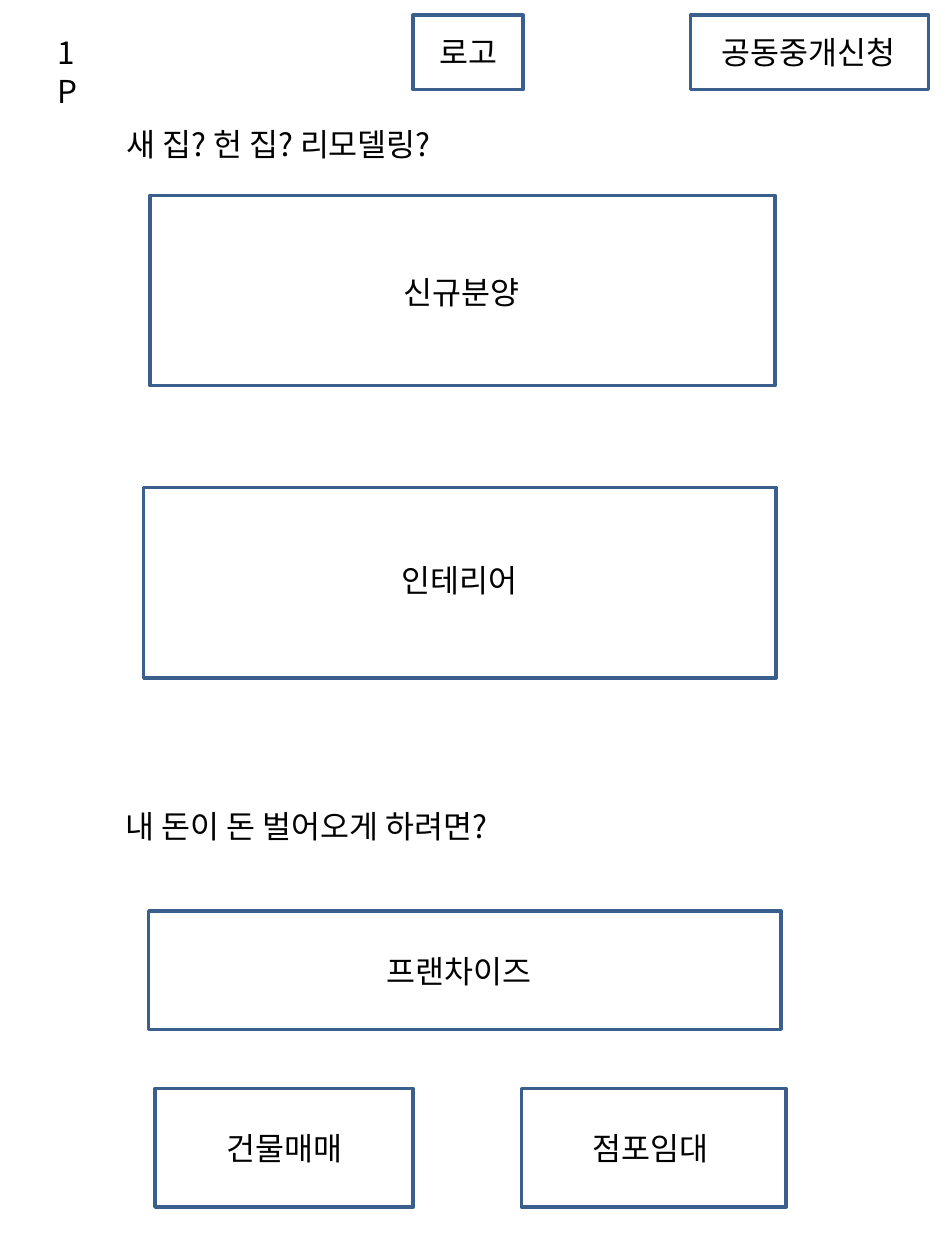
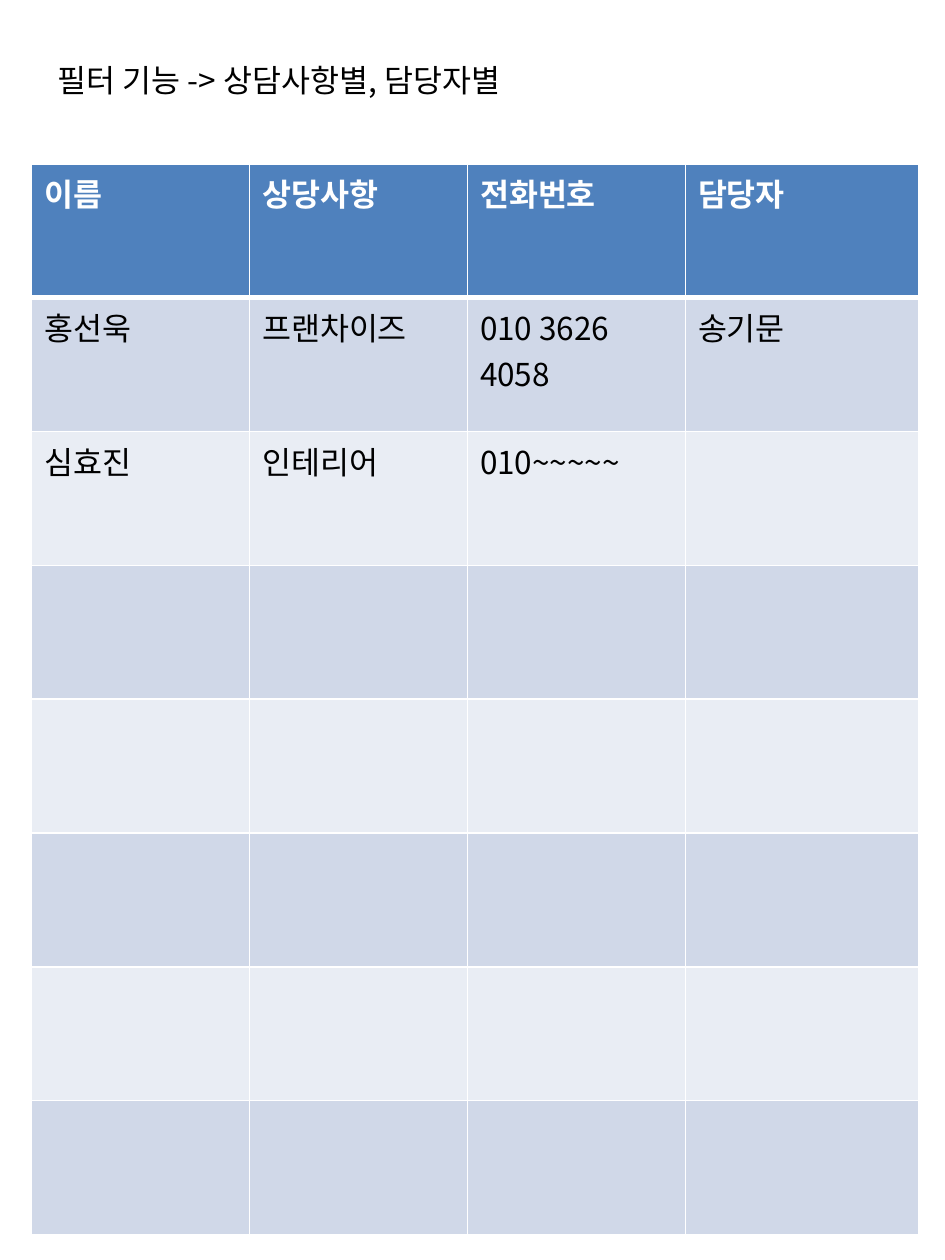
from itertools import product
from lxml.etree import SubElement
from pptx import Presentation
from pptx.dml.color import RGBColor
from pptx.enum.shapes import MSO_SHAPE
from pptx.enum.text import MSO_ANCHOR, MSO_AUTO_SIZE, PP_ALIGN
from pptx.oxml.ns import qn
from pptx.util import Inches, Pt

FONT = "Noto Sans CJK KR"
COLORS = {"ink": "000000", "line": "3A5F8C", "head": "4F81BD",
          "odd": "D0D8E8", "even": "E9EDF4", "white": "FFFFFF"}
LINE = 0.4


def color(name):
    return RGBColor.from_string(COLORS[name])


def style(para, ink="ink", bold=False):
    for run in para.runs:
        font = run.font
        font.name, font.size, font.bold = FONT, Pt(18), bold
        font.color.rgb = color(ink)
        SubElement(font._element, qn("a:ea"), typeface=FONT)


def write(shape, text, align=PP_ALIGN.LEFT):
    frame = shape.text_frame
    frame.text = text
    frame.word_wrap = True
    frame.auto_size = MSO_AUTO_SIZE.SHAPE_TO_FIT_TEXT
    frame.vertical_anchor = MSO_ANCHOR.TOP
    para = frame.paragraphs[0]
    para.alignment = align
    para.line_spacing = Pt(22)
    style(para)


def label(shapes, text, box, align=PP_ALIGN.LEFT):
    write(shapes.add_textbox(*map(Inches, box)), text, align)


def heading(slide, text, box):
    title = slide.shapes.title
    title.left, title.top, title.width, title.height = map(Inches, box)
    write(title, text)


def panel(shapes, text, box, left, width, top):
    rect = shapes.add_shape(MSO_SHAPE.RECTANGLE, *map(Inches, box))
    rect.shadow.inherit = False
    rect.fill.background()
    rect.line.color.rgb = color("line")
    rect.line.width = Pt(2)
    label(shapes, text, (left, top, width, LINE), PP_ALIGN.CENTER)


def header(slide, box):
    left, top, width, height = box
    shapes = slide.shapes
    label(shapes, "1P", (left, top + 0.09, 0.48, LINE))
    panel(shapes, "로고", (left + 2.92, top, 0.87, height),
          left + 2, 2.71, top + 0.09)
    panel(shapes, "공동중개신청", (left + width - 1.89, top, 1.89, height),
          left + 4.7, 2.71, top + 0.09)


def menu(slide, box, items):
    left, top, width, height = box
    for text, x, y, wide, high, start, span, drop in items:
        group = slide.shapes.add_group_shape()
        panel(group.shapes, text, (left + x, top + y, wide, high),
              left + start, span, top + y + drop)


def border(cell, side, width):
    line = SubElement(cell._tc.get_or_add_tcPr(), qn("a:" + side),
                      w=str(Pt(width)))
    fill = SubElement(line, qn("a:solidFill"))
    SubElement(fill, qn("a:srgbClr"), val=COLORS["white"])


def grid(slide, box, widths, rows, count):
    frame = slide.shapes.add_table(count, len(widths), *map(Inches, box))
    table = frame.table
    for column, width in zip(table.columns, widths):
        column.width = Inches(width)
    for row in table.rows:
        row.height = Inches(box[3] / count)
    for r, c in product(range(count), range(len(widths))):
        cell = table.cell(r, c)
        for side in ("lnL", "lnR", "lnT", "lnB"):
            thick = (r == 0 and side == "lnB") or (r == 1 and side == "lnT")
            border(cell, side, 3 if thick else 1)
        cell.fill.solid()
        shade = "head" if r == 0 else "odd" if r % 2 else "even"
        cell.fill.fore_color.rgb = color(shade)
        if r < len(rows) and rows[r][c]:
            cell.text_frame.text = rows[r][c]
            style(cell.text_frame.paragraphs[0],
                  "ink" if r else "white", r == 0)


def home(slide):
    header(slide, (0.36, 0.12, 7.01, 0.59))
    heading(slide, "새 집? 헌 집? 리모델링?", (0.9, 0.94, 5.43, LINE))
    menu(slide, (1.14, 1.55, 5.02, 3.83), [
        ("신규분양", 0.05, 0, 4.96, 1.51, -0.78, 6.61, 0.56),
        ("인테리어", 0, 2.32, 5.02, 1.51, -0.84, 6.69, 0.53)])
    label(slide.shapes, "내 돈이 돈 벌어오게 하려면?", (0.9, 6.35, 5.43, LINE))
    menu(slide, (1.18, 7.23, 5.06, 2.35), [
        ("프랜차이즈", 0, 0, 5.02, 0.94, -0.88, 6.69, 0.27),
        ("건물매매", 0.05, 1.41, 2.05, 0.94, -0.01, 2.17, 0.27),
        ("점포임대", 2.96, 1.41, 2.1, 0.94, 3.32, 1.32, 0.27)])


def clients(slide):
    heading(slide, "필터 기능 -> 상담사항별, 담당자별", (0.36, 0.43, 6.69, LINE))
    grid(slide, (0.25, 1.3, 7.05, 8.5), [1.73, 1.73, 1.73, 1.85], [
        ("이름", "상당사항", "전화번호", "담당자"),
        ("홍선욱", "프랜차이즈", "010 3626 4058", "송기문"),
        ("심효진", "인테리어", "010~~~~~", "")], 8)


deck = Presentation()
deck.slide_width, deck.slide_height = Inches(7.5), Inches(10)
for build in (home, clients):
    page = deck.slides.add_slide(deck.slide_layouts[5])
    page.background.fill.solid()
    page.background.fill.fore_color.rgb = color("white")
    build(page)
deck.save("out.pptx")
